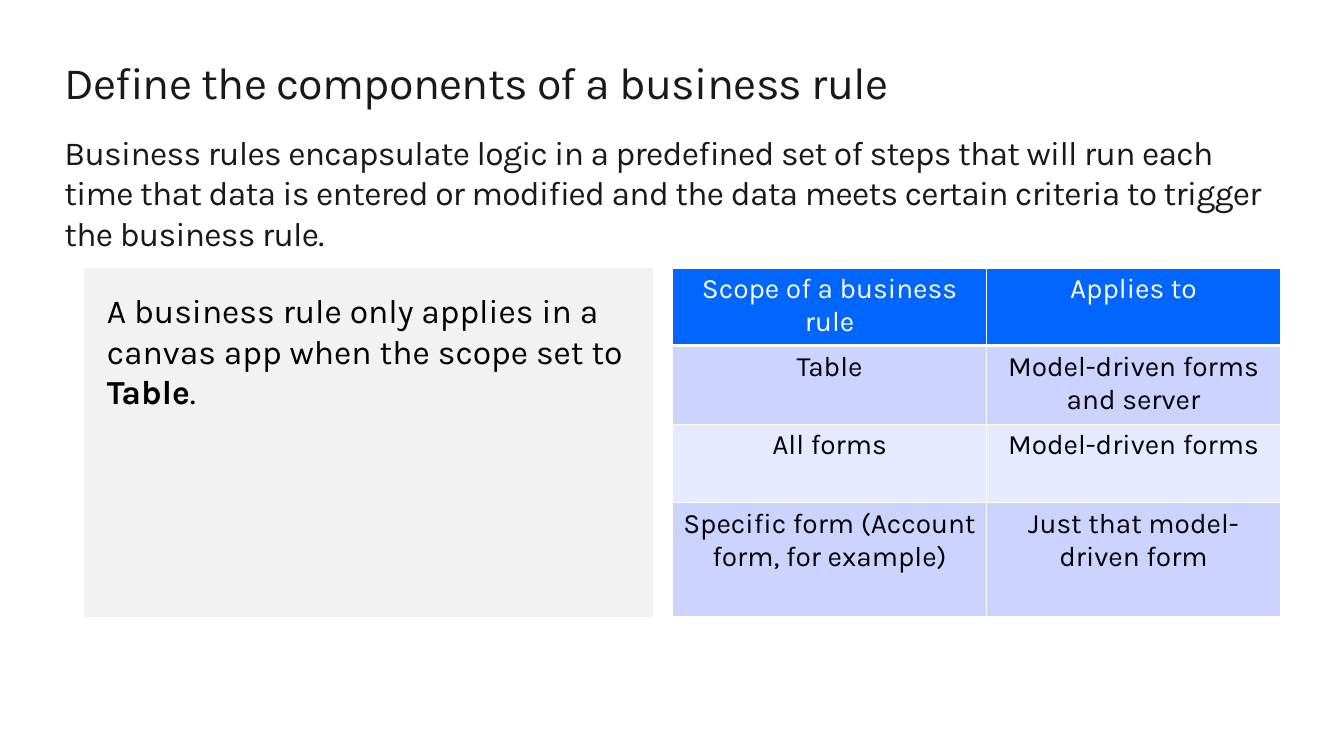
from dataclasses import dataclass

from lxml import etree
from pptx import Presentation
from pptx.dml.color import RGBColor
from pptx.enum.shapes import MSO_SHAPE
from pptx.enum.text import MSO_ANCHOR, PP_ALIGN
from pptx.oxml.ns import qn
from pptx.util import Emu, Inches, Pt

RECTANGLE = MSO_SHAPE.RECTANGLE
TOP = MSO_ANCHOR.TOP
LEFT = PP_ALIGN.LEFT
CENTER = PP_ALIGN.CENTER

WIDTH = Inches(13.33)
HEIGHT = Inches(7.5)


@dataclass(frozen=True)
class Theme:
    font: str = "Karla"
    ink: str = "191919"
    black: str = "000000"
    white: str = "FFFFFF"
    panel: str = "F2F2F2"
    header: str = "0066FF"
    bands: tuple = ("CCD3FF", "E7EAFF")
    title_size: int = 32
    body_size: int = 24
    table_size: int = 20
    tracking: int = -50


THEME = Theme()

TITLE = "Define the components of a business rule"
INTRO = (
    "Business rules encapsulate logic in a predefined set of steps that will run each "
    "time that data is entered or modified and the data meets certain criteria to "
    "trigger the business rule."
)
NOTE = (
    ("A business rule only applies in a canvas app when the scope set to ", False),
    ("Table", True),
    (".", False),
)
SCOPES = (
    ("Scope of a business rule", "Applies to"),
    ("Table", "Model-driven forms and server"),
    ("All forms", "Model-driven forms"),
    ("Specific form (Account form, for example)", "Just that model-driven form"),
)
SCOPE_COLUMNS = (23.4, 21.83)
SCOPE_ROWS = (9.07, 10.4, 10.4, 15.07)


def across(percent):
    return Emu(int(WIDTH * percent / 100))


def down(percent):
    return Emu(int(HEIGHT * percent / 100))


def area(left, top, width, height):
    return across(left), down(top), across(width), down(height)


def style_run(r, size, color, bold=False):
    r.font.name = THEME.font
    r.font.size = Pt(size)
    r.font.bold = bold
    r.font.color.rgb = RGBColor.from_string(color)


def set_frame(tf, left, top, right, bottom):
    tf.word_wrap = True
    tf.vertical_anchor = TOP
    tf.margin_left, tf.margin_top = Inches(left), Inches(top)
    tf.margin_right, tf.margin_bottom = Inches(right), Inches(bottom)


def add_text(s, box, text, size, line_spacing=1.0):
    tf = s.shapes.add_textbox(*box).text_frame
    set_frame(tf, 0, 0.1, 0.16, 0.1)
    tf.text = text
    p = tf.paragraphs[0]
    p.line_spacing = line_spacing
    r = p.runs[0]
    style_run(r, size, THEME.ink)
    r.font._element.set("spc", str(THEME.tracking))


def add_panel(s, box, parts):
    sp = s.shapes.add_shape(RECTANGLE, *box)
    sp.shadow.inherit = False
    sp.fill.solid()
    sp.fill.fore_color.rgb = RGBColor.from_string(THEME.panel)
    sp.line.color.rgb = RGBColor.from_string(THEME.panel)
    sp.line.width = Pt(0.85)
    set_frame(sp.text_frame, 0.22, 0.22, 0.22, 0.22)
    p = sp.text_frame.paragraphs[0]
    p.alignment = LEFT
    for text, bold in parts:
        r = p.add_run()
        r.text = text
        style_run(r, THEME.body_size, THEME.black, bold)


def add_borders(cell, bottom_width):
    tc_pr = cell._tc.get_or_add_tcPr()
    for side, width in (("L", 1), ("R", 1), ("T", 1), ("B", bottom_width)):
        ln = etree.SubElement(tc_pr, qn(f"a:ln{side}"), w=str(Pt(width)))
        fill = etree.SubElement(ln, qn("a:solidFill"))
        etree.SubElement(fill, qn("a:srgbClr"), val=THEME.white)


def fill_cell(cell, text, fill, color, bottom_width):
    cell.margin_left = cell.margin_right = Inches(0.09)
    cell.margin_top = cell.margin_bottom = Inches(0.05)
    add_borders(cell, bottom_width)
    cell.fill.solid()
    cell.fill.fore_color.rgb = RGBColor.from_string(fill)
    cell.text = text
    p = cell.text_frame.paragraphs[0]
    p.alignment = CENTER
    style_run(p.runs[0], THEME.table_size, color)


def add_scope_table(s, left, top):
    box = area(left, top, sum(SCOPE_COLUMNS), sum(SCOPE_ROWS))
    table = s.shapes.add_table(len(SCOPE_ROWS), len(SCOPE_COLUMNS), *box).table
    for column, width in zip(table.columns, SCOPE_COLUMNS):
        column.width = across(width)
    for i, (row, height) in enumerate(zip(table.rows, SCOPE_ROWS)):
        row.height = down(height)
        if i == 0:
            look = THEME.header, THEME.white, 3
        else:
            look = THEME.bands[(i - 1) % 2], THEME.black, 1
        for cell, text in zip(row.cells, SCOPES[i]):
            fill_cell(cell, text, *look)


def main():
    prs = Presentation()
    prs.slide_width, prs.slide_height = WIDTH, HEIGHT
    s = prs.slides.add_slide(prs.slide_layouts[6])
    add_text(s, area(4.8, 6.67, 90.4, 7.2), TITLE, THEME.title_size, 0.9)
    add_text(s, area(4.8, 16.13, 90.4, 18.8), INTRO, THEME.body_size)
    add_panel(s, area(6.3, 35.47, 42.23, 46.13), NOTE)
    add_scope_table(s, 50.03, 35.47)
    prs.save("out.pptx")


if __name__ == "__main__":
    main()
